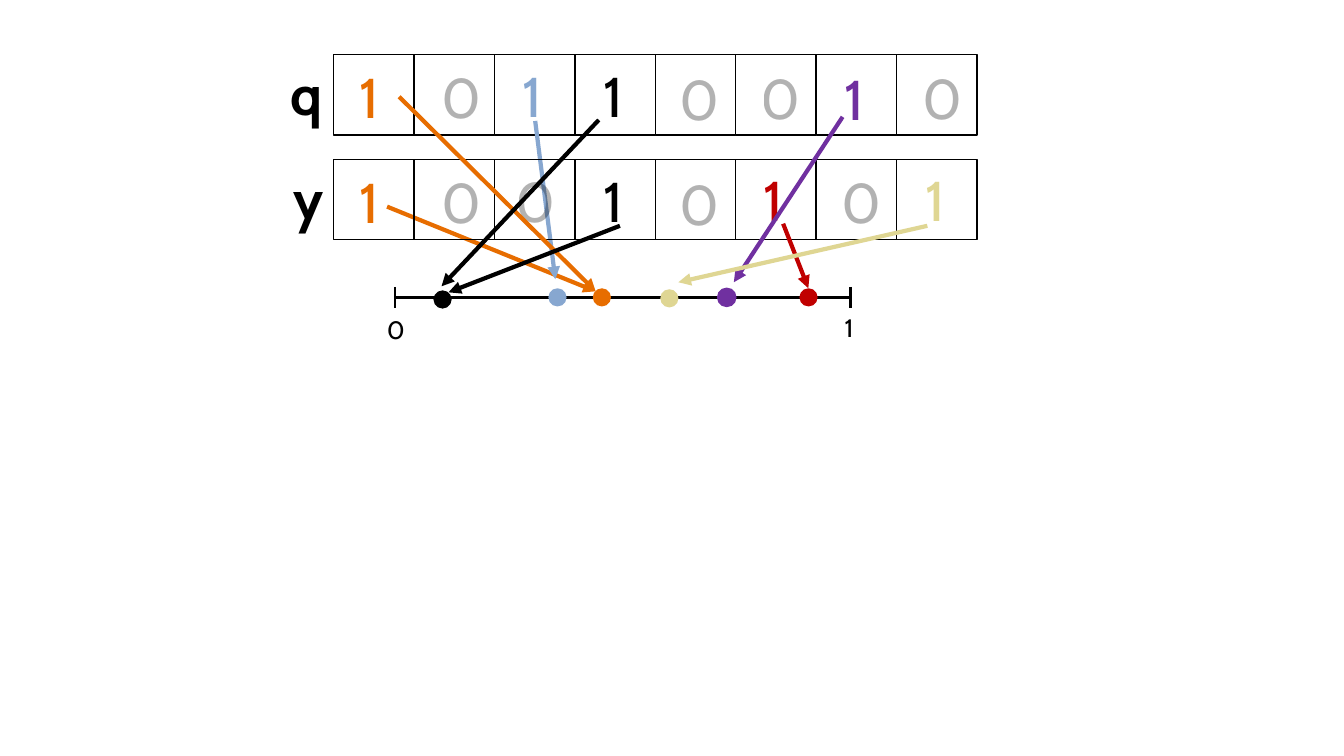
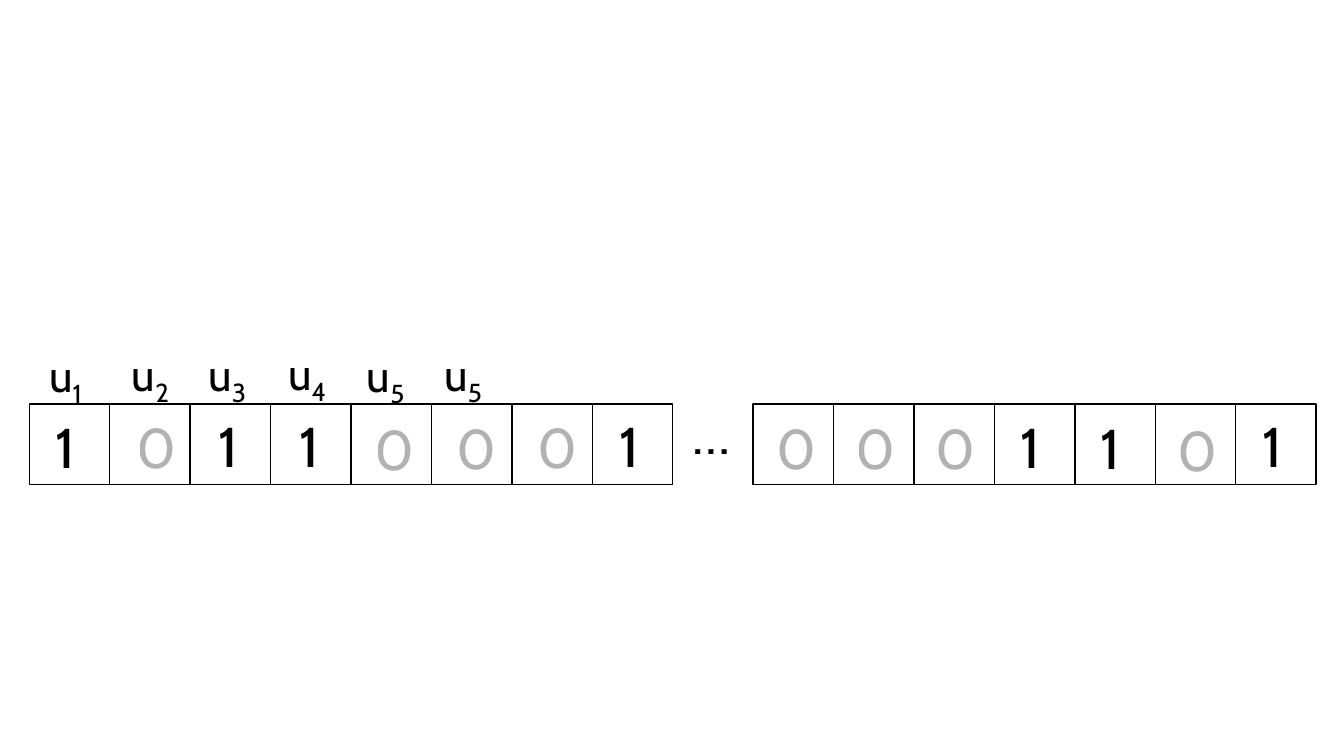
"""Build two slides on bit vectors: hashing set bits to an interval, and a long binary vector."""
from lxml.etree import SubElement
from pptx import Presentation
from pptx.dml.color import RGBColor
from pptx.enum.shapes import MSO_CONNECTOR, MSO_SHAPE
from pptx.enum.text import MSO_AUTO_SIZE
from pptx.oxml.ns import qn
from pptx.util import Pt

COLORS = {
    "black": "000000",
    "orange": "E76D00",
    "blue": "87A7D0",
    "red": "C00000",
    "purple": "7030A0",
    "sand": "DFD693",
}
FONT = "Cabin"
CELL = 57.45
DIGIT_BOX = (35.3, 55.4)
LABEL_BOX = (46, 46)
AXIS_BOX = (26.6, 29)
DOT = 13
ZERO_ALPHA = 29

Q_ROW = [
    ("1", "orange", 11.5, 2.2), ("0", "black", 12.4, 2.2),
    ("1", "blue", 13.2, 1.4), ("1", "black", 13.4, 1.4),
    ("0", "black", 9.9, 3.6), ("0", "black", 10.8, 2.9),
    ("1", "purple", 13.1, 3.6), ("0", "black", 11.1, 2.9),
]
Y_ROW = [
    ("1", "orange", 11.5, 2.2), ("0", "black", 12.4, 2.2),
    ("0", "black", 8.2, 1.4), ("1", "black", 13.4, 1.4),
    ("0", "black", 9.9, 3.6), ("1", "red", 13, 0.7),
    ("0", "black", 10.9, 2.2), ("1", "sand", 13.2, 0.7),
]
VECTOR_START = [
    ("1", "black", 11.5, 2.2), ("0", "black", 12.4, 2.2),
    ("1", "black", 13.2, 1.4), ("1", "black", 13.4, 1.4),
    ("0", "black", 9.9, 3.6), ("0", "black", 10.8, 2.9),
    ("0", "black", 10.9, 2.2), ("1", "black", 12.5, 1.4),
]
VECTOR_END = [
    ("0", "black", 9.4, 2.9), ("0", "black", 8.8, 2.9),
    ("0", "black", 8.2, 2.9), ("1", "black", 11.2, 2.2),
    ("1", "black", 11.4, 2.9), ("0", "black", 8.6, 4.3),
    ("1", "black", 11.7, 1.4),
]
DOTS = [
    ("black", 309.6, 207.4), ("blue", 391.7, 205.9), ("orange", 423.4, 205.9),
    ("red", 571, 205.9), ("purple", 512.6, 205.9), ("sand", 471.6, 206.6),
]
BACK_ARROWS = [
    ("orange", 276.5, 147.6, 425.5, 208.1),
    ("blue", 382.3, 86.4, 396.7, 199.4),
]
FRONT_ARROWS = [
    ("red", 559.4, 159.8, 577.4, 205.9),
    ("purple", 601.9, 83.5, 524.2, 201.6),
    ("orange", 285.1, 69.1, 425.5, 208.1),
    ("black", 442.8, 161.3, 320.4, 208.8),
    ("black", 427.7, 85.7, 315.4, 204.5),
    ("sand", 662.4, 161.3, 484.6, 201.6),
]
USER_LABELS = [
    ("1", 28.1, 244.8), ("2", 87.1, 244.1), ("3", 141.8, 244.1),
    ("4", 198.7, 243.4), ("5", 254.9, 244.8), ("5", 310.3, 244.1),
]


def rgb(color):
    return RGBColor.from_string(COLORS[color])


def add_text(slide, text, left, top, box, size, color="black", bold=False):
    shape = slide.shapes.add_textbox(Pt(left), Pt(top), *map(Pt, box))
    frame = shape.text_frame
    frame.word_wrap = True
    frame.auto_size = MSO_AUTO_SIZE.SHAPE_TO_FIT_TEXT
    paragraph = frame.paragraphs[0]
    for part in text:
        run = paragraph.add_run()
        run.text = part
        run.font.name = FONT
        run.font.size = Pt(size)
        run.font.bold = bold
        run.font.color.rgb = rgb(color)
    return paragraph.runs


def add_digit(slide, digit, color, left, top):
    run = add_text(slide, digit, left, top, DIGIT_BOX, 40, color)[0]
    if digit == "0":
        fill = run.font.fill._xPr.find(qn("a:solidFill"))
        SubElement(fill[0], qn("a:alpha"), val=str(ZERO_ALPHA * 1000))


def add_row(slide, digits, left, top):
    for index in range(len(digits)):
        cell = slide.shapes.add_shape(
            MSO_SHAPE.RECTANGLE, Pt(left + index * CELL), Pt(top), Pt(CELL), Pt(CELL))
        cell.shadow.inherit = False
        cell.fill.background()
        cell.line.color.rgb = rgb("black")
        cell.line.width = Pt(1)
    for index, (digit, color, shift, drop) in enumerate(digits):
        add_digit(slide, digit, color, left + index * CELL + shift, top + drop)


def add_line(slide, color, x1, y1, x2, y2, width=1.75):
    line = slide.shapes.add_connector(
        MSO_CONNECTOR.STRAIGHT, Pt(x1), Pt(y1), Pt(x2), Pt(y2))
    line.line.color.rgb = rgb(color)
    line.line.width = Pt(width)
    SubElement(line._element.spPr, qn("a:effectLst"))
    return line


def add_arrow(slide, color, x1, y1, x2, y2):
    arrow = add_line(slide, color, x1, y1, x2, y2, 3)
    SubElement(arrow.line._get_or_add_ln(), qn("a:tailEnd"), type="triangle")


def add_dot(slide, color, left, top):
    dot = slide.shapes.add_shape(MSO_SHAPE.OVAL, Pt(left), Pt(top), Pt(DOT), Pt(DOT))
    dot.shadow.inherit = False
    dot.fill.solid()
    dot.fill.fore_color.rgb = rgb(color)
    if color == "purple":
        dot.line.color.rgb = rgb(color)
        dot.line.width = Pt(1)
    else:
        dot.line.fill.background()


def add_axis(slide):
    left, right, middle = 282, 607.5, 212.4
    add_line(slide, "black", left, middle, right, middle)
    for x in (left, right):
        add_line(slide, "black", x, middle - 7.5, x, middle + 7.5)
    add_text(slide, "0", 269.3, 221, AXIS_BOX, 18)
    add_text(slide, "1", 596.2, 219.6, AXIS_BOX, 18)


def build_hashing(slide):
    left, q_top, y_top = 238.3, 38.9, 113.8
    add_row(slide, Q_ROW, left, q_top)
    for arrow in BACK_ARROWS:
        add_arrow(slide, *arrow)
    add_axis(slide)
    for dot in DOTS:
        add_dot(slide, *dot)
    add_row(slide, Y_ROW, left, y_top)
    add_text(slide, "q", 200.2, q_top, DIGIT_BOX, 40, bold=True)
    add_text(slide, "y", 202.3, y_top, DIGIT_BOX, 40, bold=True)
    for arrow in FRONT_ARROWS:
        add_arrow(slide, *arrow)


def build_vector(slide):
    left, top = 20.9, 288.7
    add_row(slide, VECTOR_START, left, top)
    add_row(slide, VECTOR_END, left + 9 * CELL, top)
    add_text(slide, "…", 487.4, 280.8, DIGIT_BOX, 40)
    for number, label_left, label_top in USER_LABELS:
        runs = add_text(slide, ("u", number), label_left, label_top, LABEL_BOX, 32)
        runs[1].font._element.set("baseline", "-25000")


def main():
    presentation = Presentation()
    presentation.slide_width, presentation.slide_height = Pt(960), Pt(540)
    for build in (build_hashing, build_vector):
        build(presentation.slides.add_slide(presentation.slide_layouts[6]))
    presentation.save("out.pptx")


if __name__ == "__main__":
    main()
